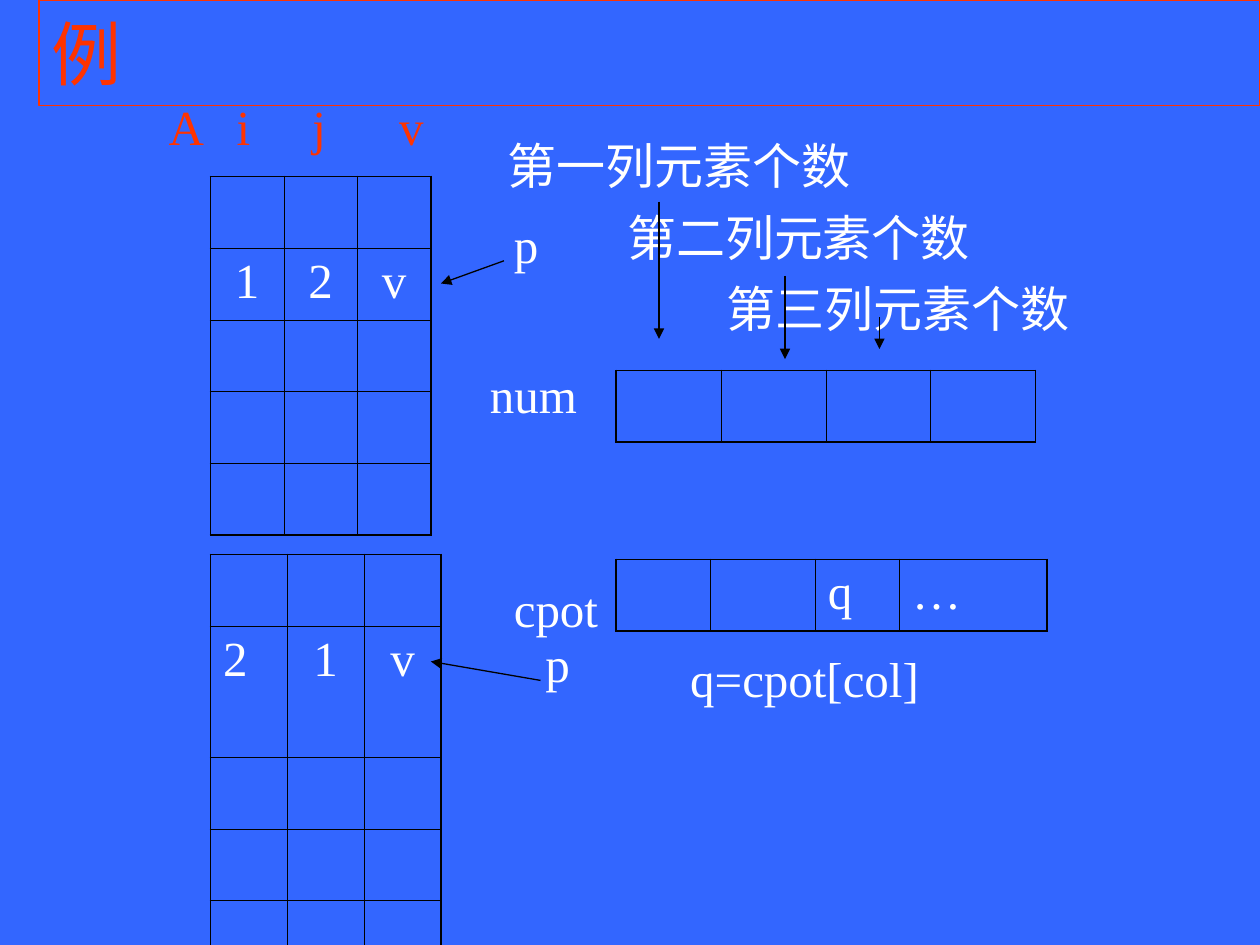
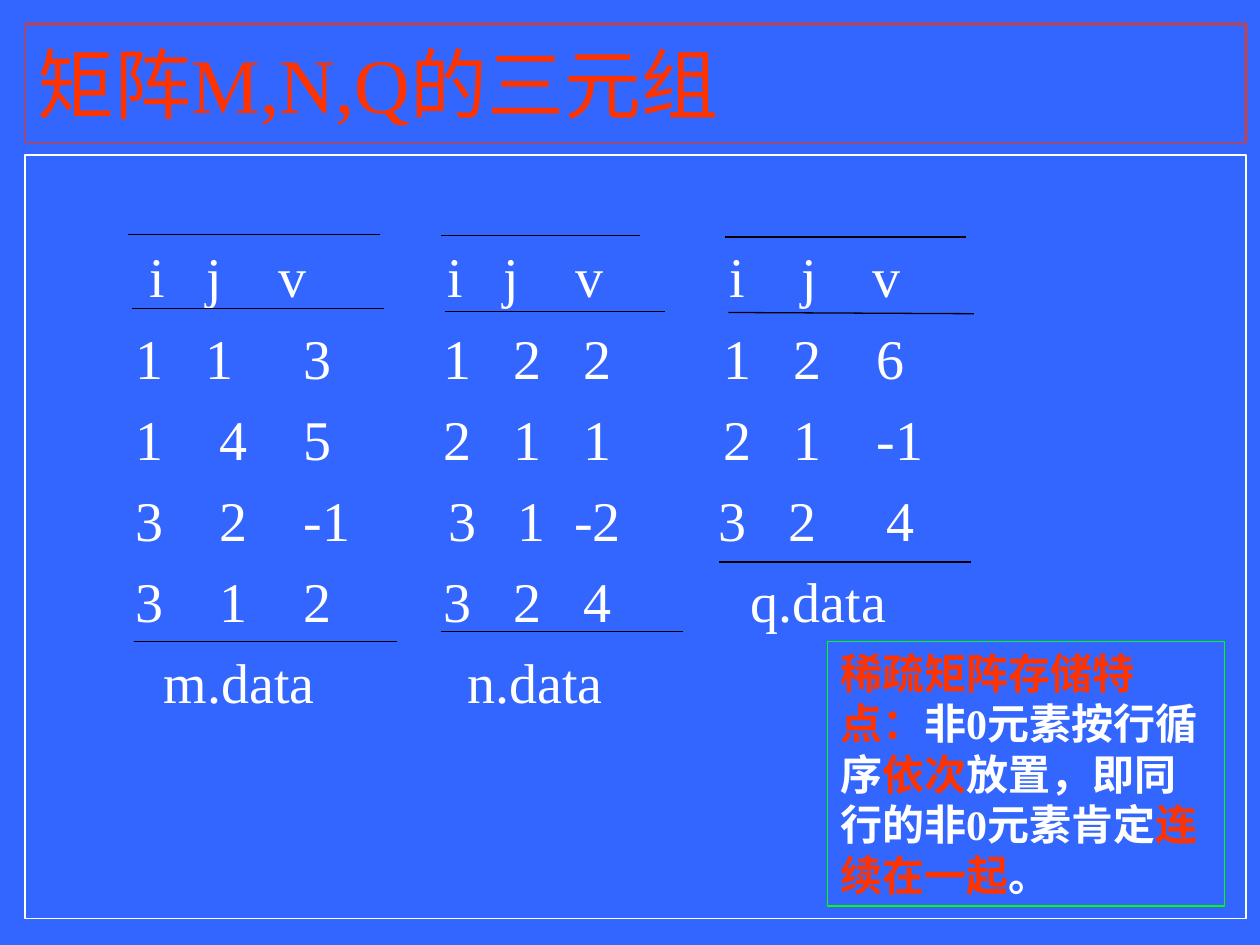
from lxml import etree
from pptx import Presentation
from pptx.dml.color import RGBColor
from pptx.enum import shapes, text
from pptx.oxml.ns import qn
from pptx.util import Inches, Pt

BLUE = RGBColor(0x33, 0x66, 0xFF)
RED = RGBColor(0xFF, 0x33, 0x00)
WHITE = RGBColor(0xFF, 0xFF, 0xFF)
GREEN = RGBColor(0x00, 0xFF, 0x00)
BLACK = RGBColor(0, 0, 0)
FONT = "Times New Roman"
OUTER, INNER = 1.08, 0.45
ROW = 0.57
CENTER, LEFT = text.PP_ALIGN.CENTER, text.PP_ALIGN.LEFT
TOP, MIDDLE = text.MSO_ANCHOR.TOP, text.MSO_ANCHOR.MIDDLE

# Slide 1: left, top, column widths, row heights, {(row, col): (text, align)}
TABLES = [
    (1.67, 1.4, [1.75 / 3] * 3, [ROW] * 5,
     {(1, 0): ("1", CENTER), (1, 1): ("2", CENTER), (1, 2): ("v", CENTER)}),
    (4.89, 2.94, [3.33 / 4] * 4, [ROW], {}),
    (4.89, 4.44, [0.75, 0.83, 0.67, 1.17], [ROW],
     {(0, 2): ("q", LEFT), (0, 3): ("…", LEFT)}),
    (1.67, 4.4, [0.61] * 3, [ROW, 1.04, ROW, ROW, ROW],
     {(1, 0): ("2", LEFT), (1, 1): ("1", CENTER), (1, 2): ("v", CENTER)}),
]
LABELS = [  # text, left, top, width
    ("num", 3.79, 2.84, 0.95),
    ("cpot", 3.98, 4.54, 0.92),
    ("q=cpot[col]", 5.38, 5.1, 2.2),
    ("p", 3.98, 1.65, 0.39),
    ("p", 4.23, 4.98, 0.39),
]
COLUMN_COUNTS = [("第一列元素个数", 0), ("第二列元素个数", 0.95),
                 ("第三列元素个数", 1.74)]  # text, indent
ARROWS = [
    (5.23, 1.6, 5.23, 2.69), (6.23, 2.19, 6.23, 2.85),
    (6.98, 2.52, 6.98, 2.77), (4, 2.07, 3.5, 2.25),
    (4.29, 5.4, 3.42, 5.25),
]

# Slide 2: entries of each row and where they start across the slide
M_COLS = [1.08, 1.74, 2.41]
N_COLS = [3.52, 4.08, 4.63]
Q_COLS = [5.74, 6.3, 6.96]
TRIPLES = [
    ("i j v i j v i j v",
     [1.19, 1.64, 2.21, 3.55, 4, 4.57, 5.79, 6.36, 6.93]),
    ("1 1 3 1 2 2 1 2 6", [1.08, 1.63, 2.41, *N_COLS, *Q_COLS]),
    ("1 4 5 2 1 1 2 1 -1", [*M_COLS, *N_COLS, *Q_COLS]),
    ("3 2 -1 3 1 -2 3 2 4", [*M_COLS, 3.56, 4.11, 4.56, 5.7, 6.26, 7.04]),
    ("3 1 2 3 2 4 q.data", [*M_COLS, *N_COLS, 5.96]),
    ("m.data n.data", [1.3, 3.71]),
]
RULES = [
    (1.02, 1.86, 3.02, 1.86), (1.05, 2.45, 3.05, 2.45),
    (1.06, 5.09, 3.15, 5.09), (3.5, 1.87, 5.08, 1.87),
    (3.53, 2.47, 5.28, 2.47), (3.5, 5.01, 5.42, 5.01),
    (5.75, 1.88, 7.67, 1.88), (5.78, 2.48, 7.73, 2.49),
    (5.71, 4.46, 7.71, 4.46),
]
STORAGE_NOTE = [
    ("稀疏矩阵存储特点：", RED), ("非0元素按行循序", WHITE), ("依次", RED),
    ("放置，即同行的非0元素肯定", WHITE), ("连续在一起", RED), ("。", WHITE),
]


def write(tf, content, size=28, color=WHITE, bold=False, align=LEFT,
          before=0, indent=0, tabs=(), new=False):
    """Write one paragraph; content is a string or (text, colour) runs."""
    p = tf.add_paragraph() if new else tf.paragraphs[0]
    p.alignment = align
    p.space_before = Pt(before)
    pPr = p._p.get_or_add_pPr()
    pPr.set("hangingPunct", "0")
    if indent:
        pPr.set("marL", str(Inches(indent)))
    if tabs:
        stops = etree.SubElement(pPr, qn("a:tabLst"))
        for x in tabs:
            etree.SubElement(stops, qn("a:tab"), pos=str(Inches(x)), algn="l")
    runs = [(content, color)] if isinstance(content, str) else content
    for words, c in runs:
        r = p.add_run()
        r.text = words
        r.font.name, r.font.size, r.font.bold = FONT, Pt(size), bold
        r.font.color.rgb = c


def new_slide(prs):
    s = prs.slides.add_slide(prs.slide_layouts[6])
    s.background.fill.solid()
    s.background.fill.fore_color.rgb = BLUE
    return s


def add_label(s, left, top, width, height=ROW):
    tf = s.shapes.add_textbox(*map(Inches, (left, top, width, height))).text_frame
    tf.word_wrap = True
    return tf


def add_frame(s, left, top, width, height, color, weight=0.75, anchor=TOP):
    sp = s.shapes.add_shape(shapes.MSO_SHAPE.RECTANGLE,
                            *map(Inches, (left, top, width, height)))
    sp.shadow.inherit = False
    sp.fill.background()
    sp.line.color.rgb = color
    sp.line.width = Pt(weight)
    tf = sp.text_frame
    tf.word_wrap = True
    tf.vertical_anchor = anchor
    return tf


def add_title(s, words, left, top, height, size):
    tf = add_frame(s, left, top, 9.69, height, RED, anchor=MIDDLE)
    write(tf, words, size=size, color=RED)


def add_line(s, x1, y1, x2, y2, arrow=False):
    c = s.shapes.add_connector(shapes.MSO_CONNECTOR.STRAIGHT,
                               *map(Inches, (x1, y1, x2, y2)))
    c.line.color.rgb = BLACK
    c.line.width = Pt(0.75)
    if arrow:
        etree.SubElement(c.line._get_or_add_ln(), qn("a:tailEnd"), type="triangle")
    etree.SubElement(c._element.spPr, qn("a:effectLst"))


def set_borders(cell, outer_sides):
    tcPr = cell._tc.get_or_add_tcPr()
    for side in "LRTB":
        weight = OUTER if side in outer_sides else INNER
        ln = etree.SubElement(tcPr, qn("a:ln" + side), w=str(Pt(weight)))
        fill = etree.SubElement(ln, qn("a:solidFill"))
        etree.SubElement(fill, qn("a:srgbClr"), val=str(BLACK))


def add_grid(s, left, top, widths, heights, entries):
    box = map(Inches, (left, top, sum(widths), sum(heights)))
    table = s.shapes.add_table(len(heights), len(widths), *box).table
    table.first_row = table.horz_banding = False
    for col, w in zip(table.columns, widths):
        col.width = Inches(w)
    for i, h in enumerate(heights):
        table.rows[i].height = Inches(h)
        for j in range(len(widths)):
            cell = table.cell(i, j)
            edges = {"L": j == 0, "R": j == len(widths) - 1,
                     "T": i == 0, "B": i == len(heights) - 1}
            set_borders(cell, [side for side, on in edges.items() if on])
            cell.fill.background()
            if (i, j) in entries:
                words, align = entries[i, j]
                write(cell.text_frame, words, align=align)


def build_example(prs):
    s = new_slide(prs)
    for grid in TABLES:
        add_grid(s, *grid)
    # Headings of the triple table
    write(add_label(s, 1.24, 0.72, 2.5), "A\ti\tj\tv", color=RED,
          tabs=(0.54, 1.14, 1.83))
    # Meaning of the cells in num
    tf = add_label(s, 3.93, 1.03, 6.0, 1.7)
    for i, (words, indent) in enumerate(COLUMN_COUNTS):
        write(tf, words, indent=indent, before=7 if i else 0, new=i > 0)
    for words, *box in LABELS:
        write(add_label(s, *box), words)
    for arrow in ARROWS:
        add_line(s, *arrow, arrow=True)
    add_title(s, "例", 0.31, 0, 0.84, 40)


def build_triples(prs):
    s = new_slide(prs)
    # Triples set on tab stops, measured from the text edge
    left, inset = 0.2, 0.1
    tf = add_frame(s, left, 1.23, 9.69, 6.06, WHITE, 1)
    tf.margin_top = Inches(0.69)
    for i, (entries, starts) in enumerate(TRIPLES):
        write(tf, "".join("\t" + e for e in entries.split()), size=32,
              before=8 if i else 0, new=i > 0,
              tabs=[x - left - inset for x in starts])
    for rule in RULES:
        add_line(s, *rule)
    add_title(s, "矩阵M,N,Q的三元组", left, 0.19, 0.94, 44)
    # Storage note
    write(add_frame(s, 6.57, 5.09, 3.15, 2.1, GREEN), STORAGE_NOTE,
          size=24, bold=True)


def main():
    prs = Presentation()
    prs.slide_width, prs.slide_height = Inches(10), Inches(7.5)
    build_example(prs)
    build_triples(prs)
    prs.save("out.pptx")


if __name__ == "__main__":
    main()
